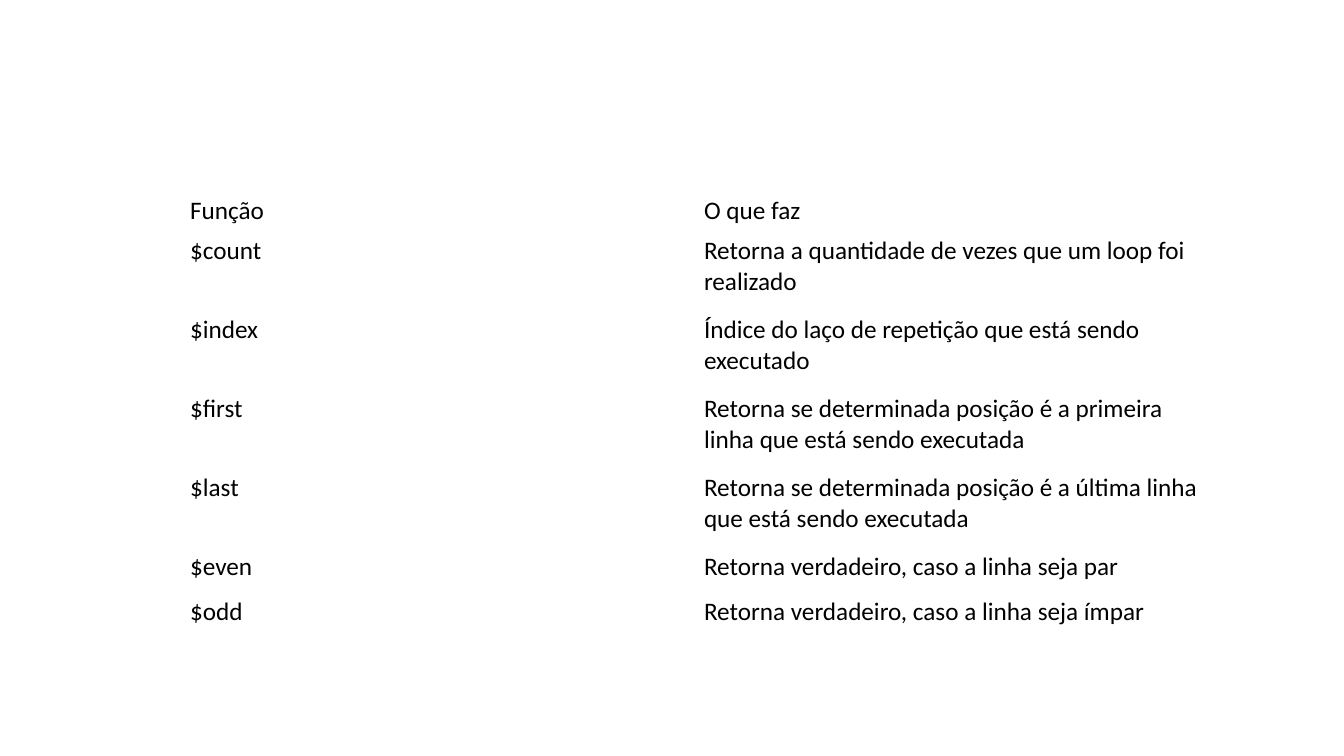
from pptx import Presentation
from pptx.dml.color import RGBColor
from pptx.enum.text import MSO_ANCHOR
from pptx.util import Pt

PX = 914400 / 100.8
BOTTOM, TOP = MSO_ANCHOR.BOTTOM, MSO_ANCHOR.TOP
NO_STYLE_NO_GRID = "{2D5ABB26-0587-4C30-8999-92F81FD0307C}"


def px(n):
    return round(n * PX)


def rgb(color):
    return RGBColor.from_string(color)


prs = Presentation()
prs.slide_width, prs.slide_height = px(1344), px(756)
s = prs.slides.add_slide(prs.slide_layouts[6])

COL_WIDTH = 514
# Row height, function, description
ROWS = [
    (20, "Função", "O que faz"),
    (79, "$count", "Retorna a quantidade de vezes que um loop foi realizado"),
    (79, "$index", "Índice do laço de repetição que está sendo executado"),
    (79, "$first", "Retorna se determinada posição é a primeira linha que está sendo executada"),
    (79, "$last", "Retorna se determinada posição é a última linha que está sendo executada"),
    (45, "$even", "Retorna verdadeiro, caso a linha seja par"),
    (45, "$odd", "Retorna verdadeiro, caso a linha seja ímpar"),
]

height = sum(row[0] for row in ROWS)
table = s.shapes.add_table(len(ROWS), 2, px(180), px(190), px(2 * COL_WIDTH), px(height)).table
table.first_row = table.horz_banding = False
table._tbl.tblPr[0].text = NO_STYLE_NO_GRID
for col in table.columns:
    col.width = px(COL_WIDTH)

for i, (row_height, *texts) in enumerate(ROWS):
    table.rows[i].height = px(row_height)
    for j, text in enumerate(texts):
        cell = table.cell(i, j)
        cell.fill.background()
        cell.vertical_anchor = BOTTOM if i == 0 else TOP
        cell.text_frame.text = text
        font = cell.text_frame.paragraphs[0].runs[0].font
        font.name = "Calibri"
        font.size = Pt(18)
        font.color.rgb = rgb("000000")

prs.save("out.pptx")
